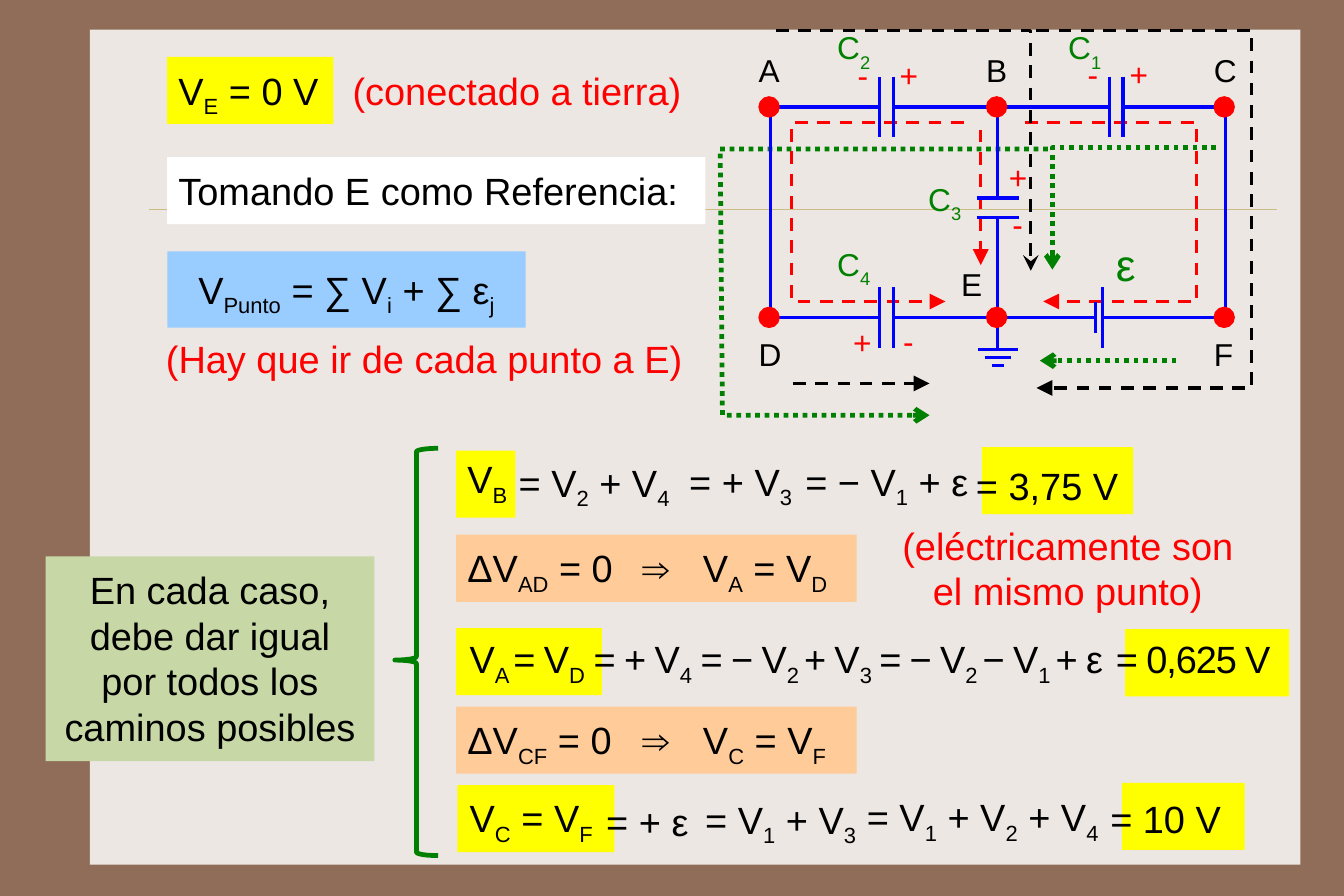
from lxml import etree
from pptx import Presentation
from pptx.dml.color import RGBColor
from pptx.enum.dml import MSO_LINE
from pptx.enum.shapes import MSO_CONNECTOR, MSO_SHAPE
from pptx.enum.text import MSO_ANCHOR, MSO_AUTO_SIZE, PP_ALIGN
from pptx.oxml.ns import qn
from pptx.util import Inches, Pt

RECT, OVAL, BRACE = MSO_SHAPE.RECTANGLE, MSO_SHAPE.OVAL, MSO_SHAPE.LEFT_BRACE
DASH, DOT = MSO_LINE.DASH, MSO_LINE.ROUND_DOT
TOP, MID = MSO_ANCHOR.TOP, MSO_ANCHOR.MIDDLE
LEFT, CENTER = PP_ALIGN.LEFT, PP_ALIGN.CENTER
STRAIGHT, GROW = MSO_CONNECTOR.STRAIGHT, MSO_AUTO_SIZE.SHAPE_TO_FIT_TEXT
RED, GREEN, BLUE, BLACK = "FF0000", "008000", "0000FF", "000000"
YELLOW, PEACH, SKY, SAGE, WHITE = "FFFF00", "FFCC99", "99CCFF", "C7D7A5", "FFFFFF"


def unit(n):
    """Turn grid columns or rows into a length."""
    return Inches(n / 10)


def paint(fill, color):
    """Fill with one colour, or with none."""
    if color:
        fill.solid()
        fill.fore_color.rgb = RGBColor.from_string(color)
    else:
        fill.background()


def stroke(shape, color, width=2, dash=None, tip=None, big="med"):
    """Style an outline and its end arrow."""
    line = shape.line
    paint(line.fill, color)
    line.width = Pt(width)
    if dash:
        line.dash_style = dash
    if tip:
        etree.SubElement(line._get_or_add_ln(), qn("a:tailEnd"), type=tip, w=big, len=big)


def block(shapes, box, fill=None, kind=RECT, line=None, width=2):
    """Add a flat preset shape."""
    shape = shapes.add_shape(kind, *map(unit, box))
    shape.shadow.inherit = False
    paint(shape.fill, fill)
    stroke(shape, line, width)
    return shape


def trail(shapes, points, color=BLUE, **style):
    """Draw a connector, or an open outline through more points."""
    spots = [(unit(x), unit(y)) for x, y in points]
    if len(spots) == 2:
        shape = shapes.add_connector(STRAIGHT, *spots[0], *spots[1])
        stroke(shape, color, **style)
        etree.SubElement(shape._element.spPr, qn("a:effectLst"))
    else:
        maker = shapes.build_freeform(*spots[0])
        maker.add_line_segments(spots[1:], close=False)
        shape = maker.convert_to_shape()
        shape.shadow.inherit = False
        paint(shape.fill, None)
        stroke(shape, color, **style)


def write(shapes, box, text, size=24, color=BLACK, fill=None, pad=0.9,
          wrap=False, anchor=TOP, align=LEFT, drop=25, squeeze=0, tabs=()):
    """Write text whose bracketed parts are subscripts."""
    shape = block(shapes, box, fill) if fill else shapes.add_textbox(*map(unit, box))
    frame = shape.text_frame
    frame.word_wrap = wrap
    if not wrap:
        frame.auto_size = GROW
    frame.vertical_anchor = anchor
    frame.margin_left = frame.margin_right = unit(1)
    frame.margin_top = frame.margin_bottom = unit(pad)
    for i, row in enumerate(text.split("\n")):
        para = frame.paragraphs[0] if i == 0 else frame.add_paragraph()
        para.alignment = align
        if tabs:
            stops = etree.SubElement(para._p.get_or_add_pPr(), qn("a:tabLst"))
            for stop in tabs:
                etree.SubElement(stops, qn("a:tab"), pos=str(unit(stop)), algn="l")
        for j, part in enumerate(row.replace("]", "[").split("[")):
            if not part:
                continue
            run = para.add_run()
            run.text = part
            run.font.name, run.font.size = "Arial", Pt(size)
            run.font.color.rgb = RGBColor.from_string(color)
            props = run._r.get_or_add_rPr()
            if j % 2:
                props.set("baseline", str(-1000 * drop))
            if squeeze:
                props.set("spc", str(-squeeze))


def page(slide, box):
    """Lay the pale sheet and its rule on the brown ground."""
    x, y, w, h = box
    paint(slide.background.fill, "906D58")
    block(slide.shapes, box, "EDE7E3")
    trail(slide.shapes, [(x + 5.2, y + 15.8), (x + w - 2.1, y + 15.8)], "CBBD83", width=0.25)


def intro(shapes, box):
    """Place the reference statements."""
    x, y, w, h = box
    write(shapes, (x, y, 14.6, 5.9), "V[E] = 0 V", fill=YELLOW)
    write(shapes, (x + 15.3, y, 31.2, 5.9), "(conectado a tierra)", color=RED)
    write(shapes, (x, y + 8.8, w, 5.9), "Tomando E como Referencia:", fill=WHITE)
    write(shapes, (x, y + 17.1, 31.5, 6.7), "V[Punto] = ∑ V[i] + ∑ ε[j]", fill=SKY,
          pad=1.3, wrap=True, align=CENTER)
    write(shapes, (x - 1.1, y + 23.6, 47.8, 5.9), "(Hay que ir de cada punto a E)", color=RED)


def paths(shapes, box):
    """Draw the dashed routes that lead to E."""
    x, y, w, h = box
    red = dict(color=RED, dash=DASH, tip="triangle", big="lg")
    black = red | {"color": BLACK}
    green = dict(color=GREEN, dash=DOT, tip="arrow", width=3)
    routes = [
        (red, [(17, 1.4), (1.9, 1.4), (1.9, 17.1), (15.4, 17.1)]),
        (red, [(22.4, 1.4), (37.5, 1.4), (37.5, 17.1), (24, 17.1)]),
        (red, [(18.5, 2), (18.5, 13.9)]),
        (black | {"tip": "stealth"}, [(0.5, -6.7), (22.9, -6.7), (22.9, 14.4)]),
        (black, [(2, 24.3), (14, 24.3)]),
        (black, [(23.4, -6.7), (42.3, -6.7), (42.3, 24.7), (23.4, 24.7)]),
        (green, [(39.2, 3.6), (24.8, 3.6), (24.8, 14.3)]),
        (green, [(35.7, 22.3), (23.7, 22.3)]),
        (green, [(24.4, 3.7), (-4.4, 3.7), (-4.2, 27.1), (14, 27.1)]),
    ]
    for style, points in routes:
        trail(shapes, [(x + a, y + b) for a, b in points], **style)


def circuit(shapes, box):
    """Draw wires, plates, labels and nodes around node A at the box corner."""
    x, y, w, h = box
    mid = w / 2
    wires = [(0, 0, 9.6, 0), (10.8, 0, 29.8, 0), (31, 0, w, 0),
             (0, h, 9.6, h), (10.8, h, 28.6, h), (29.2, h, w, h),
             (0, 0, 0, h), (w, 0, w, h), (mid, 0, mid, 8),
             (mid, 9.7, mid, h), (mid, h, mid, h + 2.8), (28.6, h - 1.4, 28.6, h + 1.4)]
    uprights = [(9.6, 0), (10.8, 0), (29.8, 0), (31, 0), (9.6, h), (10.8, h), (29.2, h)]
    wires += [(a, b - 2.65, a, b + 2.65) for a, b in uprights]
    bars = [(8, 1.85), (9.7, 1.85), (h + 2.8, 1.75), (h + 3.5, 1.15), (h + 4.2, 0.55)]
    wires += [(mid - half, b, mid + half, b) for b, half in bars]
    for a, b, c, d in wires:
        trail(shapes, [(x + a, y + b), (x + c, y + d)])
    for name, a, b in [("2", 4.9, -7.4), ("1", 25.2, -7.4), ("3", 12.9, 5.9), ("4", 4.9, 11.6)]:
        write(shapes, (x + a, y + b, 5.5, 5.1), f"C[{name}]", size=20, color=GREEN,
              pad=0.5, wrap=True, drop=30)
    write(shapes, (x + 29.4, y + 11.8, 3.7, 4), "ε", size=28, color=GREEN,
          pad=0.5, wrap=True, anchor=MID)
    signs = [("+", 30.6, -5.5), ("-", 26.9, -5.5), ("+", 10.4, -5.4), ("-", 6.7, -5.4),
             ("+", 20, 3.6), ("-", 20.3, 7.7), ("+", 6.3, 18.1), ("-", 10.7, 18)]
    for sign, a, b in signs:
        write(shapes, (x + a, y + b, 3.6 if sign == "+" else 2.9, 5.2), sign, size=20, color=RED)
    nodes = [("A", 0, 0, -2, -5.4), ("B", mid, 0, -2, -5.4), ("C", w, 0, -2, -5.4),
             ("D", 0, h, -2, 1), ("E", mid, h, -4.2, -5.1), ("F", w, h, -2, 1)]
    for name, a, b, dx, dy in nodes:
        block(shapes, (x + a - 0.9, y + b - 0.8, 1.6, 1.6), RED, OVAL, RED)
        write(shapes, (x + a + dx, y + b + dy, 3.7, 5.3), name, size=20, pad=0.5)


def sums(shapes, box):
    """Set out the potentials found along each route."""
    x, y, w, h = box
    marks = [(0, 0.3, 5.2), (46.2, 0, 13.3), (0, 15.9, 12.8),
             (58.8, 16, 14.4), (0.1, 29.7, 13.8), (58.5, 29.5, 10.8)]
    for a, b, wide in marks:
        block(shapes, (x + a, y + b, wide, 5.9), YELLOW)
    for b, text in [(7.7, "ΔV[AD] = 0\t⇒\tV[A] = V[D]"), (22.8, "ΔV[CF] = 0\t⇒\tV[C] = V[F]")]:
        write(shapes, (x, y + b, 35.2, 5.9), text, fill=PEACH, wrap=True, tabs=(15.4, 20.7))
    write(shapes, (x + 37.7, y + 5.7, 32.1, 9.9), "(eléctricamente son el mismo punto)",
          color=RED, wrap=True, align=CENTER)
    loose = [(0, 0.5, 7.9, "V[B]"), (4.5, 0.8, 15.9, "= V[2] + V[4]"),
             (19.5, 0.7, 12.6, "= + V[3]"), (29.7, 0.7, 16.7, "= − V[1] + ε"),
             (44.7, 0.8, 15.3, "= 3,75 V"), (0.2, 30.3, 70.6, "V[C] = V[F]"),
             (12.2, 30.3, 11.9, "= + ε"), (20.9, 30.4, 16.1, "= V[1] + V[3]"),
             (35.1, 30.2, 24.1, "= V[1] + V[2] + V[4]"), (56.5, 30.1, 12.2, "= 10 V")]
    for a, b, wide, text in loose:
        write(shapes, (x + a, y + b, wide, 5.1), text, pad=0.5, wrap=True, anchor=MID)
    tight = [(0.2, 12.4, "V[A ]= V[D]"), (11.1, 10.7, "= + V[4]"),
             (20.5, 17.3, "= − V[2 ]+ V[3]"), (36.2, 22.4, "= − V[2 ]− V[1 ]+ ε"),
             (57, 15.9, "= 0,625 V")]
    for a, wide, text in tight:
        write(shapes, (x + a, y + 15.7, wide, 5.9), text, squeeze=70)


def remark(shapes, box):
    """Place the green remark and the brace beside it."""
    x, y, w, h = box
    write(shapes, (x, y + 9.5, 28.9, 18),
          "En cada caso,\ndebe dar igual\npor todos los caminos posibles",
          fill=SAGE, wrap=True, align=CENTER)
    brace = block(shapes, (x + w - 3.8, y, 3.8, h), kind=BRACE, line=GREEN, width=3)
    brace.adjustments[0], brace.adjustments[1] = 0.08, 0.52


def main():
    """Build and save the slide."""
    deck = Presentation()
    deck.slide_width, deck.slide_height = Pt(850.5), Pt(567)
    slide = deck.slides.add_slide(deck.slide_layouts[6])
    shapes = slide.shapes
    page(slide, (7.9, 2.6, 106.4, 73.4))
    intro(shapes, (14.7, 5, 47.3, 29.5))
    net = (67.7, 9.4, 40, 18.5)
    paths(shapes, net)
    circuit(shapes, net)
    remark(shapes, (4, 39.4, 34.5, 35.8))
    sums(shapes, (40.1, 39.3, 73.2, 35.6))
    deck.save("out.pptx")


if __name__ == "__main__":
    main()
